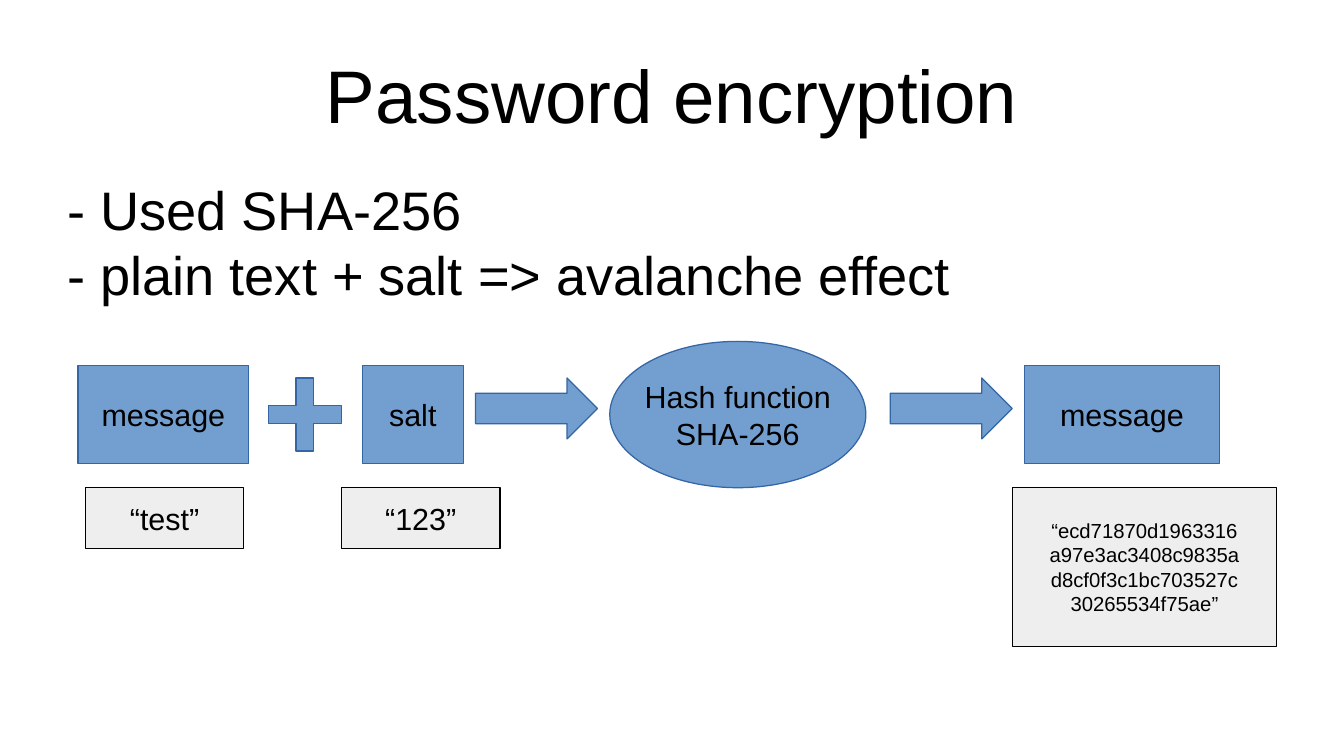
import pptx
import pptx.util
import pptx.dml.color
import pptx.enum.shapes
import pptx.enum.text

Inches = pptx.util.Inches
SHAPES = pptx.enum.shapes.MSO_SHAPE
ALIGN = pptx.enum.text.PP_ALIGN
ANCHOR = pptx.enum.text.MSO_ANCHOR
WIDTH, HEIGHT = 11.02, 6.2
MARGIN, BODY_WIDTH = 0.05 * WIDTH, 0.9 * WIDTH


def color(hex_string):
    return pptx.dml.color.RGBColor.from_string(hex_string)


def write(frame, lines, size, alignment, **frame_format):
    """Fill a text frame with one paragraph per line."""
    for name, value in frame_format.items():
        setattr(frame, name, value)
    for index, line in enumerate(lines):
        paragraph = frame.paragraphs[0] if index == 0 else frame.add_paragraph()
        paragraph.alignment = alignment
        run = paragraph.add_run()
        run.text = line
        for name, value in {"name": "Arial", "size": pptx.util.Pt(size)}.items():
            setattr(run.font, name, value)
        run.font.color.rgb = color("000000")


presentation = pptx.Presentation()
presentation.slide_width = Inches(WIDTH)
presentation.slide_height = Inches(HEIGHT)
slide = presentation.slides.add_slide(presentation.slide_layouts[6])

# Title and statements
plain = {"word_wrap": True, "margin_left": 0, "margin_right": 0,
         "margin_top": 0, "margin_bottom": 0}
statements = ["- Used SHA-256", "- plain text + salt => avalanche effect"]
for top, height, lines, size, alignment, anchor in [
    (0.04, 0.168, ["Password encryption"], 44, ALIGN.CENTER, ANCHOR.MIDDLE),
    (0.233, 0.58, statements, 32, ALIGN.LEFT, ANCHOR.TOP),
]:
    box = slide.shapes.add_textbox(Inches(MARGIN), Inches(top * HEIGHT),
                                   Inches(BODY_WIDTH), Inches(height * HEIGHT))
    write(box.text_frame, lines, size, alignment, vertical_anchor=anchor, **plain)

# Flow from message to hash, with example values below
BLUE, GRAY = ("729FCF", "3465A4"), ("EEEEEE", "000000")
FLOW_TOP, SYMBOL_TOP, VALUE_TOP = 3, 3.1, 4
digest = ["“ecd71870d1963316", "a97e3ac3408c9835a",
          "d8cf0f3c1bc703527c", "30265534f75ae”"]
for kind, left, top, width, height, colors, lines, size in [
    (SHAPES.RECTANGLE, 0.64, FLOW_TOP, 1.4, 0.8, BLUE, ["message"], 18),
    (SHAPES.CROSS, 2.2, SYMBOL_TOP, 0.6, 0.6, BLUE, [], 18),
    (SHAPES.RECTANGLE, 2.97, FLOW_TOP, 0.83, 0.8, BLUE, ["salt"], 18),
    (SHAPES.RIGHT_ARROW, 3.9, SYMBOL_TOP, 1, 0.5, BLUE, [], 18),
    (SHAPES.OVAL, 5, 2.8, 2.1, 1.2, BLUE, ["Hash function", "SHA-256"], 18),
    (SHAPES.RIGHT_ARROW, 7.3, SYMBOL_TOP, 1, 0.5, BLUE, [], 18),
    (SHAPES.RECTANGLE, 8.4, FLOW_TOP, 1.6, 0.8, BLUE, ["message"], 18),
    (SHAPES.RECTANGLE, 0.7, VALUE_TOP, 1.3, 0.5, GRAY, ["“test”"], 18),
    (SHAPES.RECTANGLE, 2.8, VALUE_TOP, 1.3, 0.5, GRAY, ["“123”"], 18),
    (SHAPES.RECTANGLE, 8.3, VALUE_TOP, 2.17, 1.3, GRAY, digest, 12),
]:
    shape = slide.shapes.add_shape(kind, Inches(left), Inches(top),
                                   Inches(width), Inches(height))
    shape.shadow.inherit = False
    fill, line = colors
    shape.fill.solid()
    shape.fill.fore_color.rgb = color(fill)
    shape.line.color.rgb = color(line)
    shape.line.width = pptx.util.Pt(0.75)
    if kind == SHAPES.CROSS:
        shape.adjustments[0] = 0.38
    write(shape.text_frame, lines, size, ALIGN.CENTER,
          vertical_anchor=ANCHOR.MIDDLE, word_wrap=False)

presentation.save("out.pptx")
